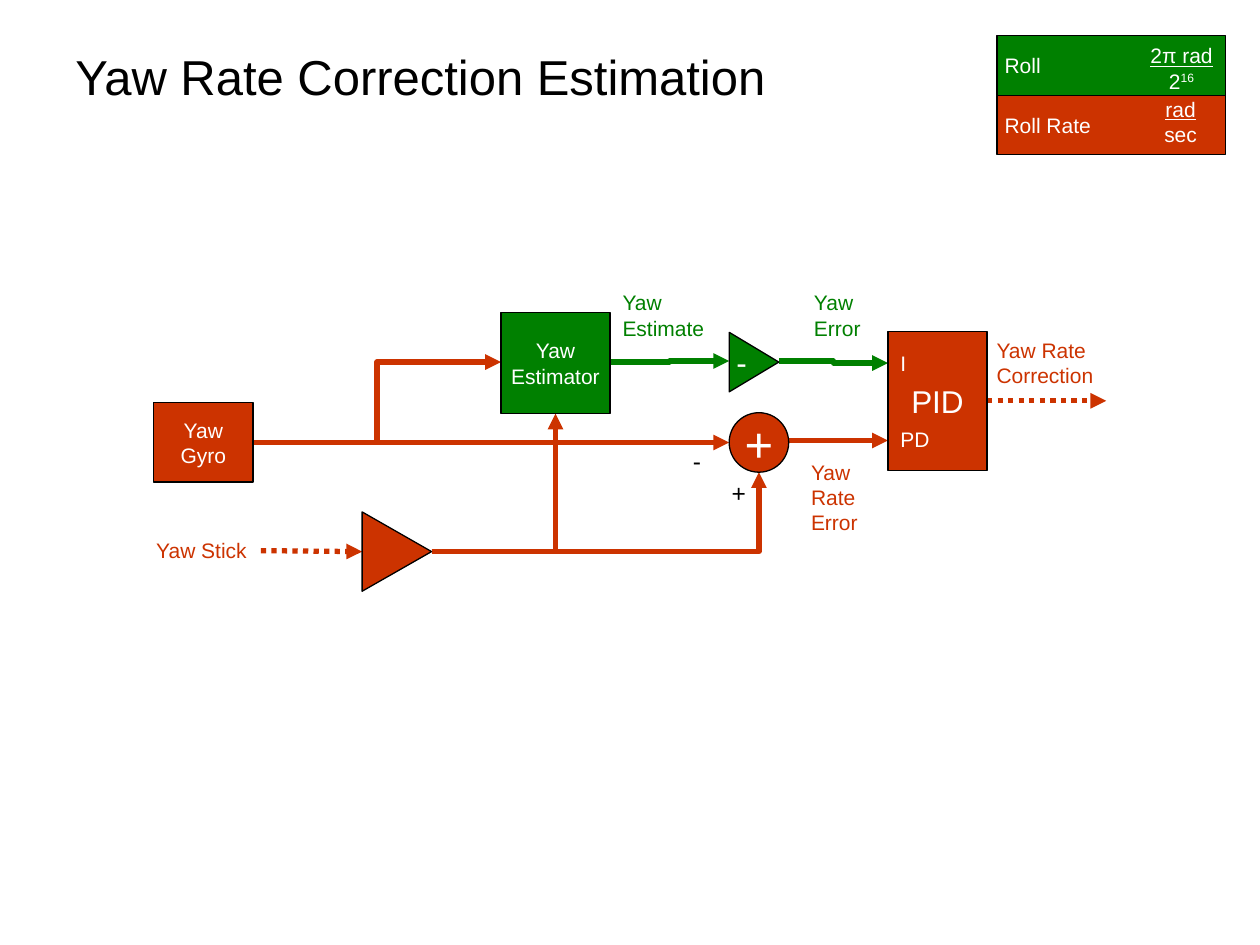
from lxml import etree
from pptx import Presentation
from pptx.dml.color import RGBColor
from pptx.enum.dml import MSO_LINE
from pptx.enum.shapes import MSO_CONNECTOR as LINK, MSO_SHAPE as SHAPE
from pptx.enum.text import MSO_ANCHOR as ANCHOR, MSO_AUTO_SIZE as FIT, PP_ALIGN as ALIGN
from pptx.oxml.ns import qn
from pptx.util import Cm, Inches, Pt

GREEN, RED, WHITE, BLACK = "008000", "CC3300", "FFFFFF", "000000"
CELL = Cm(0.4)


def color(hex_code):
    return RGBColor.from_string(hex_code)


def write(box, lines, size, ink, align=ALIGN.LEFT, anchor=ANCHOR.TOP, margins=(0.1, 0.05), wrap=False):
    frame = box.text_frame
    frame.word_wrap = wrap
    frame.vertical_anchor = anchor
    frame.margin_left = frame.margin_right = Inches(margins[0])
    frame.margin_top = frame.margin_bottom = Inches(margins[1])
    for index, line in enumerate(lines):
        para = frame.add_paragraph() if index else frame.paragraphs[0]
        para.alignment = align
        for part, words in enumerate(line.split("\n")):
            if part:
                para.add_line_break()
            span = para.add_run()
            span.text = words
            span.font.name = "Arial"
            span.font.size = Pt(size)
            span.font.color.rgb = color(ink)


deck = Presentation()
deck.slide_width, deck.slide_height = Inches(10), Inches(7.5)
page = deck.slides.add_slide(deck.slide_layouts[6])

gyro_right, gyro_row = 12.75, 22.3
estimate_row, stick_row = 18.25, 27.8
sum_left, pid_left = 36.75, 44.75
gain_right = 21.75

signals = [
    ("bentConnector3", 30.75, estimate_row, sum_left, 18.2, GREEN, False),
    ("bentConnector3", 39.25, 18.2, pid_left, 18.3, GREEN, False),
    ("bentConnector3", gyro_right, gyro_row, 25.25, estimate_row, RED, False),
    ("bentConnector2", gain_right, stick_row, 38.25, 23.8, RED, False),
    ("bentConnector2", gain_right, stick_row, 28, 20.85, RED, False),
    ("line", gyro_right, gyro_row, sum_left, gyro_row, RED, False),
    ("line", 39.25, 22.2, pid_left, 22.2, RED, False),
    ("line", 49.75, 20.2, 55.75, 20.2, RED, True),
    ("line", 13.15, 27.75, 18.25, stick_row, RED, True),
]
for preset, x1, y1, x2, y2, ink, dotted in signals:
    kind = LINK.STRAIGHT if preset == "line" else LINK.ELBOW
    ends = [round(value * CELL) for value in (x1, y1, x2, y2)]
    signal = page.shapes.add_connector(kind, *ends)
    signal.line.color.rgb = color(ink)
    signal.line.width = Pt(3)
    if dotted:
        signal.line.dash_style = MSO_LINE.ROUND_DOT
    properties = signal._element.spPr
    properties.find(qn("a:prstGeom")).set("prst", preset)
    etree.SubElement(properties.find(qn("a:ln")), qn("a:tailEnd"), type="triangle")
    etree.SubElement(properties, qn("a:effectLst"))

blocks = [
    (SHAPE.RECTANGLE, 25.25, 15.75, 5.5, 5.1, GREEN, ["Yaw", "Estimator"], 12),
    (SHAPE.RECTANGLE, pid_left, 16.7, 5, 7, RED, ["PID"], 18),
    (SHAPE.RECTANGLE, 7.75, 20.3, 5, 4, RED, ["Yaw\nGyro"], 12),
    (SHAPE.OVAL, sum_left, 20.8, 3, 3, RED, ["+"], 28),
    (SHAPE.ISOSCELES_TRIANGLE, 36.5, 17, 3, 2.5, GREEN, ["-"], 18),
    (SHAPE.ISOSCELES_TRIANGLE, 18, 26.05, 4, 3.5, RED, [], 12),
    (SHAPE.RECTANGLE, 50.25, 1.8, 11.5, 3, GREEN, ["Roll"], 12),
    (SHAPE.RECTANGLE, 50.25, 4.8, 11.5, 3, RED, ["Roll Rate"], 12),
]
for kind, x, y, width, height, fill, lines, size in blocks:
    block = page.shapes.add_shape(kind, *[round(value * CELL) for value in (x, y, width, height)])
    block.shadow.inherit = False
    block.fill.solid()
    block.fill.fore_color.rgb = color(fill)
    block.line.color.rgb = color(BLACK)
    block.line.width = Pt(0.75)
    legend = width == 11.5
    align, margins = (ALIGN.LEFT, (0.06, 0.01)) if legend else (ALIGN.CENTER, (0.1, 0.05))
    write(block, lines, size, WHITE, align, ANCHOR.MIDDLE, margins)
    if kind == SHAPE.ISOSCELES_TRIANGLE:
        block.rotation = 90
        block.text_frame._txBody.bodyPr.set("vert", "vert270")

labels = [
    (36.25, 23.8, 2, 2.15, ["+"], 14, BLACK),
    (34.3, 22.15, 1.65, 2.15, ["-"], 14, BLACK),
    (30.75, 14.3, 5.4, 3.2, ["Yaw", "Estimate"], 12, GREEN),
    (40.4, 14.3, 3.6, 3.2, ["Yaw", "Error"], 12, GREEN),
    (pid_left, 17.35, 1.5, 1.9, ["I"], 12, WHITE),
    (pid_left, 21.2, 2.75, 1.9, ["PD"], 12, WHITE),
    (49.6, 16.7, 6.15, 3.2, ["Yaw Rate", "Correction"], 12, RED),
    (7.25, 26.8, 5.9, 1.9, ["Yaw Stick"], 12, RED),
    (40.25, 22.85, 3.6, 4.45, ["Yaw", "Rate", "Error"], 12, RED),
]
for x, y, width, height, lines, size, ink in labels:
    label = page.shapes.add_textbox(*[round(value * CELL) for value in (x, y, width, height)])
    write(label, lines, size, ink)
    label.text_frame.auto_size = FIT.SHAPE_TO_FIT_TEXT

units = [(57.35, 2.1, ["2π rad", "2"], "16"), (57.3, 4.8, ["rad", "sec"], "")]
for x, y, lines, power in units:
    unit = page.shapes.add_textbox(*[round(value * CELL) for value in (x, y, 4.4, 2.65)])
    write(unit, lines, 12, WHITE, ALIGN.CENTER, margins=(0.02, 0.01), wrap=True)
    unit.text_frame.auto_size = FIT.SHAPE_TO_FIT_TEXT
    numerator, denominator = unit.text_frame.paragraphs
    numerator.runs[0].font.underline = True
    if power:
        span = denominator.add_run()
        span.text = power
        span.font.name = "Arial"
        span.font.size = Pt(12)
        span.font.color.rgb = color(WHITE)
        span.font._element.set("baseline", "30000")

title = page.shapes.add_textbox(Inches(0.5), Inches(0.3), Inches(9), Inches(0.61))
write(title, ["Yaw Rate Correction Estimation"], 28, BLACK, anchor=ANCHOR.MIDDLE, wrap=True)

deck.save("out.pptx")
